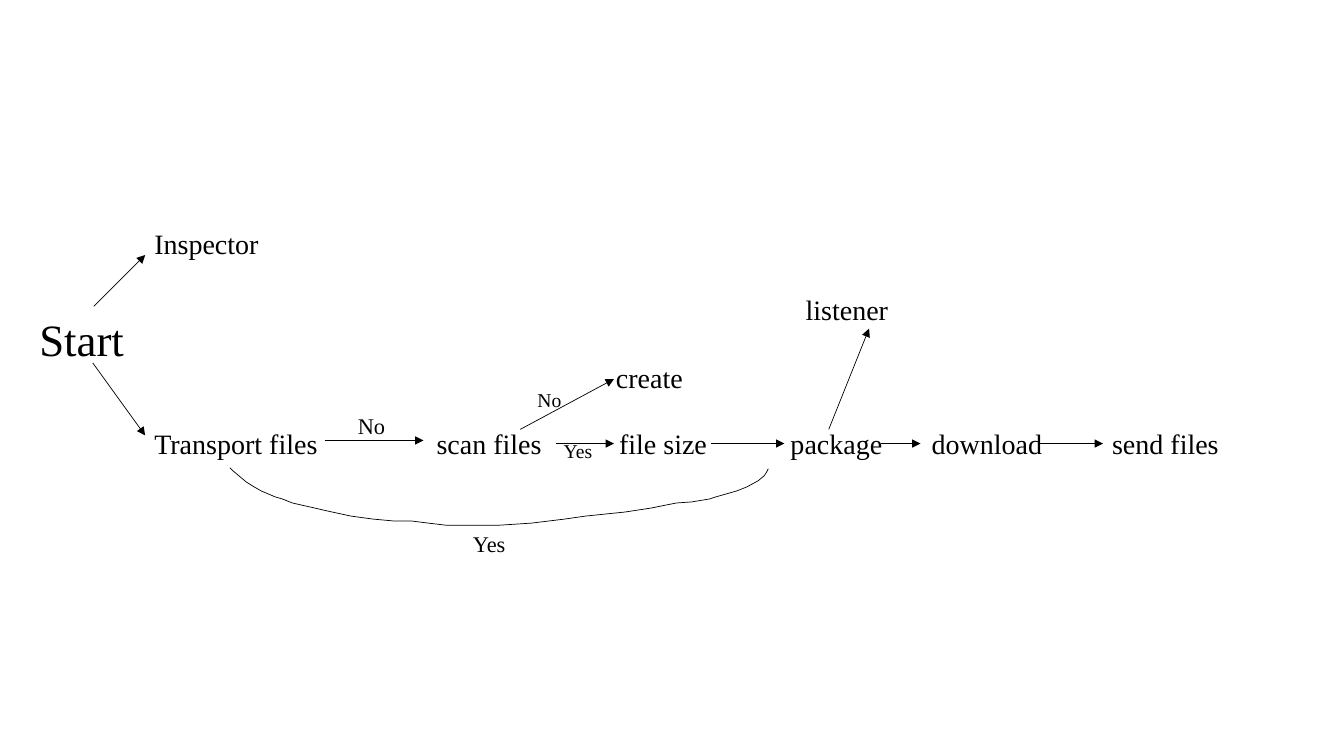
import pptx
import pptx.dml.color
import pptx.enum.shapes
import pptx.enum.text
import pptx.oxml
import pptx.oxml.ns
import pptx.util
from dataclasses import dataclass

PX = 9144  # one hundred px to the inch


@dataclass(frozen=True)
class Theme:
    font: str = "Times New Roman"
    ink: str = "000000"
    line: float = 0.5
    start: int = 32
    step: int = 20
    branch: int = 16
    small: int = 14


class FlowSlide:
    def __init__(self, prs, theme):
        self.theme = theme
        self.ink = pptx.dml.color.RGBColor.from_string(theme.ink)
        self.s = prs.slides.add_slide(prs.slide_layouts[6])

    def label(self, text, left, middle, width, size):
        """Place one line of text, centred vertically on middle."""
        height = 2 * size
        sp = self.s.shapes.add_textbox(
            left * PX, (middle - size) * PX, width * PX, height * PX)
        tf = sp.text_frame
        tf.word_wrap = True
        tf.margin_left = tf.margin_right = tf.margin_top = tf.margin_bottom = 0
        tf.vertical_anchor = pptx.enum.text.MSO_ANCHOR.MIDDLE
        tf.text = text
        font = tf.paragraphs[0].runs[0].font
        font.name = self.theme.font
        font.size = pptx.util.Pt(size)
        font.color.rgb = self.ink

    def stroke(self, sp):
        sp.line.color.rgb = self.ink
        sp.line.width = pptx.util.Pt(self.theme.line)

    def arrow(self, x1, y1, x2, y2):
        sp = self.s.shapes.add_connector(
            pptx.enum.shapes.MSO_CONNECTOR.STRAIGHT,
            x1 * PX, y1 * PX, x2 * PX, y2 * PX)
        self.stroke(sp)
        qn = pptx.oxml.ns.qn
        ln = sp.line._get_or_add_ln()
        ln.append(ln.makeelement(qn("a:tailEnd"), {"type": "triangle"}))
        props = sp._element.spPr
        props.append(props.makeelement(qn("a:effectLst"), {}))

    def curve(self, points):
        fb = self.s.shapes.build_freeform(*points[0], scale=PX)
        fb.add_line_segments(points[1:], close=False)
        sp = fb.convert_to_shape()
        sp.shadow.inherit = False
        sp.fill.background()
        self.stroke(sp)


ROW = 440
STEPS = [  # text, left, middle, width
    ("Inspector", 153, 241, 115),
    ("listener", 799, 307, 95),
    ("create", 611, 374, 80),
    ("Transport files", 153, ROW, 175),
    ("scan files", 433, ROW, 115),
    ("file size", 614, ROW, 100),
    ("package", 784, ROW, 105),
    ("download", 924, ROW, 125),
    ("send files", 1103, ROW, 120),
]
ARROWS = [
    (93, 304, 144, 253), (92, 360, 144, 432),
    (322, 437, 420, 437), (516, 426, 609, 376),
    (551, ROW, 609, ROW), (705, ROW, 778, ROW),
    (874, ROW, 913, ROW), (1032, ROW, 1094, ROW),
    (822, 426, 862, 326),
]
SKIP_SCAN = [
    (228, 464), (231, 467), (244, 478), (252, 483), (259, 487), (266, 490),
    (273, 493), (280, 495), (290, 499), (312, 504), (325, 507), (348, 512),
    (370, 515), (392, 517), (409, 517), (425, 519), (442, 521), (464, 521),
    (496, 521), (527, 519), (560, 515), (581, 512), (620, 508), (646, 504),
    (661, 501), (671, 499), (686, 498), (704, 495), (710, 493), (731, 487),
    (741, 483), (752, 477), (758, 472), (760, 469), (762, 465),
]


def main():
    prs = pptx.Presentation()
    prs.slide_width, prs.slide_height = 1333 * PX, 750 * PX
    theme = Theme()
    flow = FlowSlide(prs, theme)
    flow.label("Start", 39, 336, 100, theme.start)
    for step in STEPS:
        flow.label(*step, theme.step)
    for ends in ARROWS:
        flow.arrow(*ends)
    flow.curve(SKIP_SCAN)
    flow.label("No", 355, 422, 40, theme.branch)
    flow.label("Yes", 469, 539, 45, theme.branch)
    flow.label("No", 533, 396, 35, theme.small)
    flow.label("Yes", 559, 447, 40, theme.small)
    prs.save("out.pptx")


if __name__ == "__main__":
    main()
